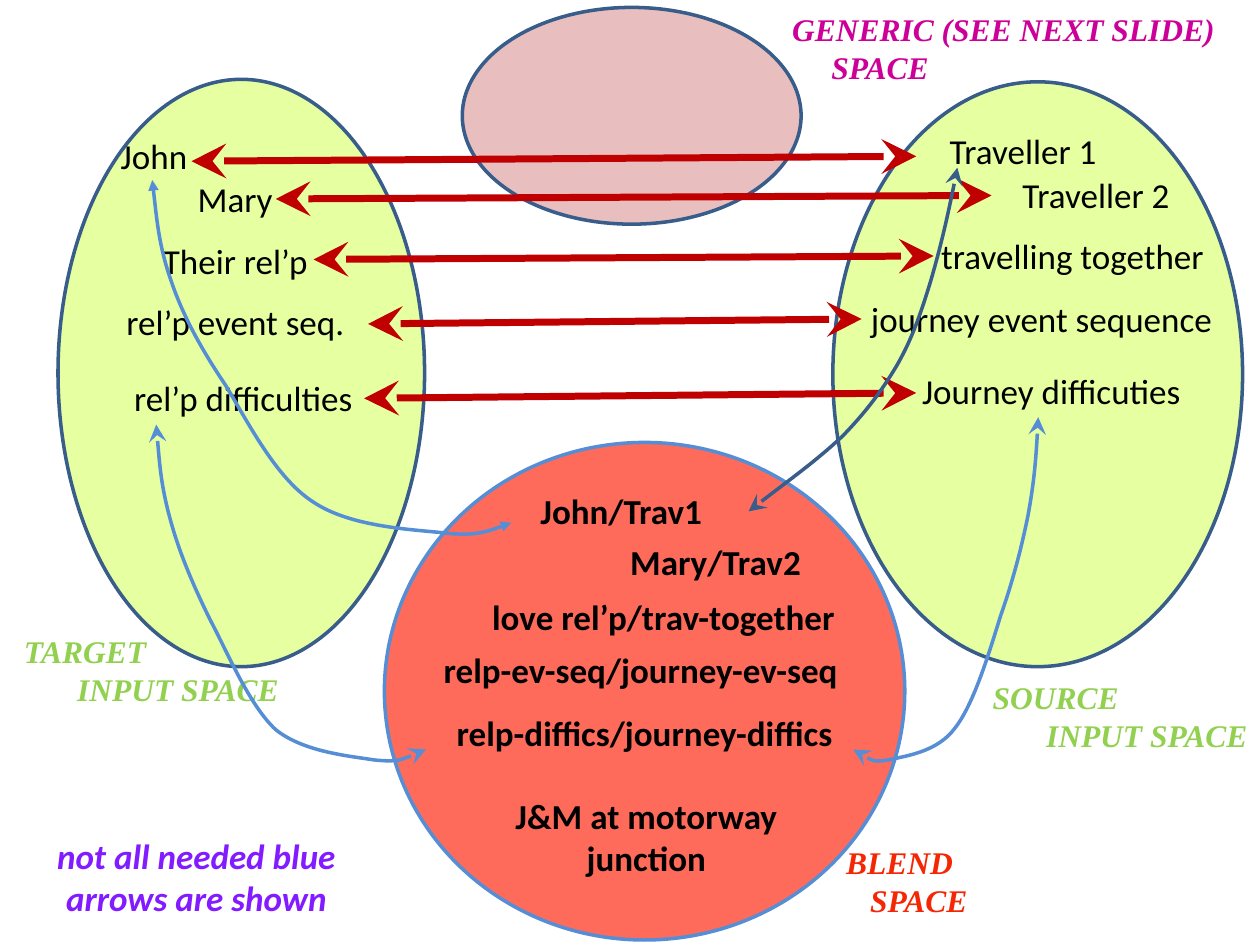
import pptx
import pptx.util
import pptx.dml.color
import pptx.enum.shapes
import pptx.enum.text
import pptx.oxml.ns
import lxml.etree

Cm = pptx.util.Cm
Pt = pptx.util.Pt
qn = pptx.oxml.ns.qn
ALIGN = pptx.enum.text.PP_ALIGN

BLACK, OUTLINE, BLUE, RED = "000000", "385D8A", "558ED5", "C00000"
LIME, GREEN = "DDFF7D", "92D050"


def rgb(value):
    return pptx.dml.color.RGBColor.from_string(value)


def add_text(s, x, y, w, lines, color, size=20, font="Calibri", bold=False,
             italic=False, h=1.12):
    tb = s.shapes.add_textbox(Cm(x), Cm(y), Cm(w), Cm(h))
    tf = tb.text_frame
    tf.word_wrap = True
    for i, (text, align, indent) in enumerate(lines):
        p = tf.paragraphs[0] if i == 0 else tf.add_paragraph()
        p.alignment = align
        if indent:
            p._p.get_or_add_pPr().set("marL", str(Cm(indent)))
        r = p.add_run()
        r.text = text
        r.font.name = font
        r.font.size = Pt(size)
        r.font.bold = bold
        r.font.italic = italic
        r.font.color.rgb = rgb(color)


def add_heading(s, x, y, w, first, second, color, align=ALIGN.LEFT, indent=0):
    lines = [(first, ALIGN.LEFT, 0), (second, align, indent)]
    add_text(s, x, y, w, lines, color, 18, "Times New Roman", True, True, 1.78)


def add_space(s, box, fill, opacity, line, labels=(), bold=False):
    x, y, w, h = box
    sp = s.shapes.add_shape(pptx.enum.shapes.MSO_SHAPE.OVAL, Cm(x), Cm(y), Cm(w), Cm(h))
    sp.shadow.inherit = False
    sp.fill.solid()
    sp.fill.fore_color.rgb = rgb(fill)
    if opacity < 100:
        clr = sp._element.spPr.find(qn("a:solidFill")).find(qn("a:srgbClr"))
        lxml.etree.SubElement(clr, qn("a:alpha")).set("val", str(opacity * 1000))
    sp.line.color.rgb = rgb(line)
    sp.line.width = Pt(2)
    for text, dx, dy, width in labels:
        add_text(s, x + dx, y + dy, width, [(text, ALIGN.CENTER, 0)], BLACK, bold=bold)


def target_space(s, box):
    add_space(s, box, LIME, 73, OUTLINE, [
        ("John", 0.81, 0.99, 2.25),
        ("Mary", 2.39, 1.85, 2.36),
        ("Their rel’p", 0.58, 3.1, 5.99),
        ("rel’p event seq.", 0.35, 4.34, 6.45),
        ("rel’p difficulties", 0.51, 5.87, 6.45),
    ])
    add_heading(s, box[0] - 0.94, box[1] + 11.02, 5.64, "TARGET", "INPUT SPACE",
                GREEN, ALIGN.RIGHT)


def source_space(s, box):
    add_space(s, box, LIME, 73, OUTLINE, [
        ("Traveller 1", 0.94, 0.84, 5.79),
        ("Traveller 2", 2.74, 1.73, 5.13),
        ("travelling together", 1.78, 2.95, 6.1),
        ("journey event sequence", 0.46, 4.22, 7.49),
        ("Journey difficuties", 0.94, 5.67, 6.93),
    ])
    add_heading(s, box[0] + 2.97, box[1] + 11.89, 5.64, "SOURCE", "INPUT SPACE",
                GREEN, ALIGN.RIGHT)


def blend_space(s, box):
    add_space(s, box, "FF6B5B", 100, BLUE, [
        ("John/Trav1", 2.21, 0.83, 5.13),
        ("Mary/Trav2", 4.11, 1.85, 5.13),
        ("love rel’p/trav-together", 1.6, 2.97, 8.05),
        ("relp-ev-seq/journey-ev-seq", 0.76, 4.03, 8.81),
        ("relp-diffics/journey-diffics", 0.84, 5.3, 8.81),
        ("J&M at motorway junction", 1.65, 6.98, 7.26),
    ], bold=True)
    add_heading(s, box[0] + 9.06, box[1] + 7.95, 3.3, "BLEND", "SPACE", "F52603", indent=0.48)


def generic_space(s, box):
    add_space(s, box, "E6B9B8", 90, OUTLINE)
    add_heading(s, box[0] + 6.4, box[1] - 0.07, 11, "GENERIC (SEE NEXT SLIDE)", "SPACE",
                "CC0099", indent=0.79)


def style_arrow(sp, color, width, kind="stealth", size="lg"):
    sp.line.color.rgb = rgb(color)
    sp.line.width = Pt(width)
    ln = sp.line._get_or_add_ln()
    for end in ("a:headEnd", "a:tailEnd"):
        lxml.etree.SubElement(ln, qn(end), type=kind, w=size, len=size)


def add_curve(s, points, color, **head):
    pts = [(Cm(x), Cm(y)) for x, y in points]
    fb = s.shapes.build_freeform(*pts[0], scale=1.0)
    fb.add_line_segments(pts[1:], close=False)
    sp = fb.convert_to_shape()
    sp.shadow.inherit = False
    sp.fill.background()
    segments = list(sp._element.iter(qn("a:lnTo")))
    outline = segments[0].getparent()
    for i in range(0, len(segments), 3):
        bezier = lxml.etree.SubElement(outline, qn("a:cubicBezTo"))
        for segment in segments[i:i + 3]:
            bezier.append(segment[0])
            outline.remove(segment)
    style_arrow(sp, color, 2, **head)


def correspondences(s, box):
    x, y = box[:2]
    for x1, y1, x2, y2 in [
        (3.86, 3.25, 18.47, 3.15),
        (5.56, 4.01, 19.99, 3.94),
        (6.32, 5.23, 18.82, 5.16),
        (7.42, 6.53, 17.37, 6.43),
        (7.34, 8.03, 18.47, 7.92),
    ]:
        cx = s.shapes.add_connector(pptx.enum.shapes.MSO_CONNECTOR.STRAIGHT,
                                    Cm(x + x1), Cm(y + y1), Cm(x + x2), Cm(y + y2))
        style_arrow(cx, RED, 4)
        lxml.etree.SubElement(cx._element.spPr, qn("a:effectLst"))


def projections(s, box):
    john = [(3.07, 3.63), (3.15, 4.29), (3.2, 4.95), (3.45, 5.66), (3.68, 6.35),
            (4.06, 7.04), (4.55, 7.77), (5, 8.51), (5.56, 9.63), (6.3, 10.11),
            (7.04, 10.62), (8.26, 10.67), (8.92, 10.74), (9.58, 10.82),
            (9.96, 10.67), (10.31, 10.54)]
    traveller = [(19.3, 3.38), (19.15, 4.17), (18.97, 4.95), (18.77, 5.64),
                 (18.57, 6.3), (18.39, 6.83), (18.08, 7.37), (17.78, 7.87),
                 (17.48, 8.28), (16.99, 8.79), (16.48, 9.27), (15.77, 9.78),
                 (15.09, 10.31)]
    love_difficulties = [(3.15, 8.56), (3.2, 9.17), (3.25, 9.8), (3.43, 10.46),
                         (3.61, 11.13), (3.89, 11.79), (4.24, 12.5), (4.6, 13.18),
                         (5.03, 14.22), (5.56, 14.71), (6.12, 15.16), (7.04, 15.24),
                         (7.54, 15.32), (8.03, 15.37), (8.31, 15.24), (8.59, 15.11)]
    journey_difficulties = [(20.93, 8.41), (20.9, 9.07), (20.85, 9.7), (20.73, 10.36),
                            (20.6, 11.02), (20.42, 11.71), (20.17, 12.42), (19.94, 13.16),
                            (19.63, 14.2), (19.25, 14.68), (18.9, 15.16), (18.26, 15.24),
                            (17.91, 15.32), (17.58, 15.37), (17.37, 15.24), (17.2, 15.11)]
    for points, color, head in [
        (john, BLUE, {"kind": "triangle", "size": "med"}),
        (traveller, OUTLINE, {}),
        (love_difficulties, BLUE, {}),
        (journey_difficulties, BLUE, {}),
    ]:
        add_curve(s, [(box[0] + px, box[1] + py) for px, py in points], color, **head)


def arrow_note(s, box):
    x, y, w, h = box
    add_text(s, x, y, w, [("not all needed blue arrows are shown", ALIGN.CENTER, 0)],
             "821BFF", bold=True, italic=True, h=h)


def main():
    prs = pptx.Presentation()
    prs.slide_width, prs.slide_height = Cm(25.4), Cm(19.05)
    s = prs.slides.add_slide(prs.slide_layouts[6])
    whole = (0, 0, 25.4, 19.05)
    target_space(s, (1.17, 1.6, 7.39, 11.84))
    blend_space(s, (7.75, 8.92, 10.49, 10.03))
    source_space(s, (16.79, 1.65, 8.26, 11.79))
    generic_space(s, (9.32, 0.15, 6.83, 4.37))
    correspondences(s, whole)
    projections(s, whole)
    arrow_note(s, (0.66, 16.69, 6.6, 1.96))
    prs.save("out.pptx")


if __name__ == "__main__":
    main()
